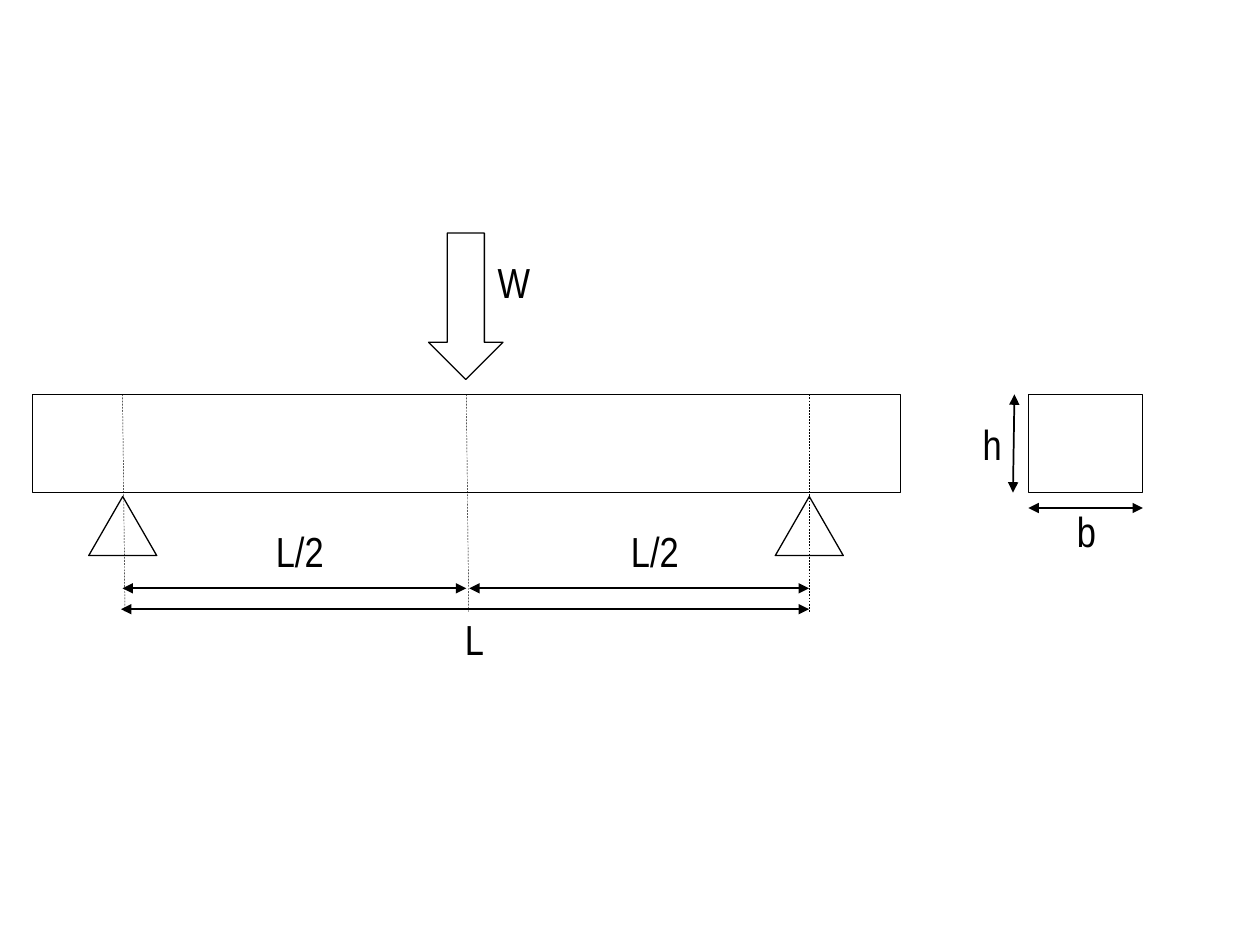
from lxml import etree
from pptx import Presentation
from pptx.dml.color import RGBColor
from pptx.enum.dml import MSO_LINE
from pptx.enum.shapes import MSO_CONNECTOR, MSO_SHAPE
from pptx.oxml.ns import qn
from pptx.util import Cm, Pt

BLACK = RGBColor(0, 0, 0)
RECT = MSO_SHAPE.RECTANGLE
PRISM = MSO_SHAPE.ISOSCELES_TRIANGLE
DOWN = MSO_SHAPE.DOWN_ARROW
LINE = MSO_CONNECTOR.STRAIGHT
DASH = MSO_LINE.DASH


class Sketch:
    font = {"name": "Arial Narrow", "size": Pt(24)}
    edge = {"width": Pt(0.75)}
    guide = {"width": Pt(0.25), "dash_style": DASH}
    span = {"width": Pt(1)}

    def __init__(self, slide):
        self.shapes = slide.shapes

    def style(self, item, look):
        for key, value in look.items():
            setattr(item, key, value)

    def stroke(self, line, look):
        line.color.rgb = BLACK
        self.style(line, look)

    def shape(self, kind, *box):
        shape = self.shapes.add_shape(kind, *map(Cm, box))
        shape.shadow.inherit = False
        shape.fill.background()
        self.stroke(shape.line, self.edge)

    def label(self, text, *box):
        frame = self.shapes.add_textbox(*map(Cm, box)).text_frame
        frame.word_wrap = True
        run = frame.paragraphs[0].add_run()
        run.text = text
        run.font.color.rgb = BLACK
        self.style(run.font, self.font)

    def rule(self, look, *ends):
        rule = self.shapes.add_connector(LINE, *map(Cm, ends))
        self.stroke(rule.line, look)
        props = rule._element.spPr
        etree.SubElement(props, qn("a:effectLst"))
        return props.find(qn("a:ln"))

    def measure(self, *ends):
        line = self.rule(self.span, *ends)
        for tip in ("a:headEnd", "a:tailEnd"):
            etree.SubElement(line, qn(tip), type="triangle")


deck = Presentation()
deck.slide_width, deck.slide_height = Cm(25.4), Cm(19.05)
sketch = Sketch(deck.slides.add_slide(deck.slide_layouts[6]))

TOP, DEPTH = 7.95, 1.98
BASE = TOP + DEPTH
LEFT, MID, RIGHT = 2.47, 9.4, 16.31
SIDE, WIDE = 20.73, 2.31

# Beam and cross section
sketch.shape(RECT, 0.66, TOP, 17.5, DEPTH)
sketch.shape(RECT, SIDE, TOP, WIDE, DEPTH)

# Supports and load
for x in (LEFT, RIGHT):
    sketch.shape(PRISM, x - 0.68, 10.01, 1.37, 1.19)
sketch.shape(DOWN, 8.64, 4.7, 1.5, 2.95)

# Labels
for text, x, y, width in (
    ("b", 21.46, 10.06, 1.04),
    ("h", 19.56, 8.31, 1.04),
    ("W", 9.78, 5.05, 1.12),
    ("L/2", 5.31, 10.46, 1.73),
    ("L/2", 12.47, 10.46, 1.73),
    ("L", 9.12, 12.24, 0.74),
):
    sketch.label(text, x, y, width, 1.27)

# Guide lines
for x, lean in ((LEFT, 0.05), (MID, 0.05), (RIGHT, 0)):
    sketch.rule(sketch.guide, x, TOP, x + lean, 12.35)

# Dimension arrows
for x, end, y in (
    (LEFT, MID, 11.86),
    (MID + 0.06, RIGHT, 11.86),
    (LEFT - 0.03, RIGHT, 12.28),
    (SIDE, SIDE + WIDE, 10.24),
):
    sketch.measure(x, y, end, y)
sketch.measure(20.45, TOP, 20.42, BASE)

deck.save("out.pptx")
